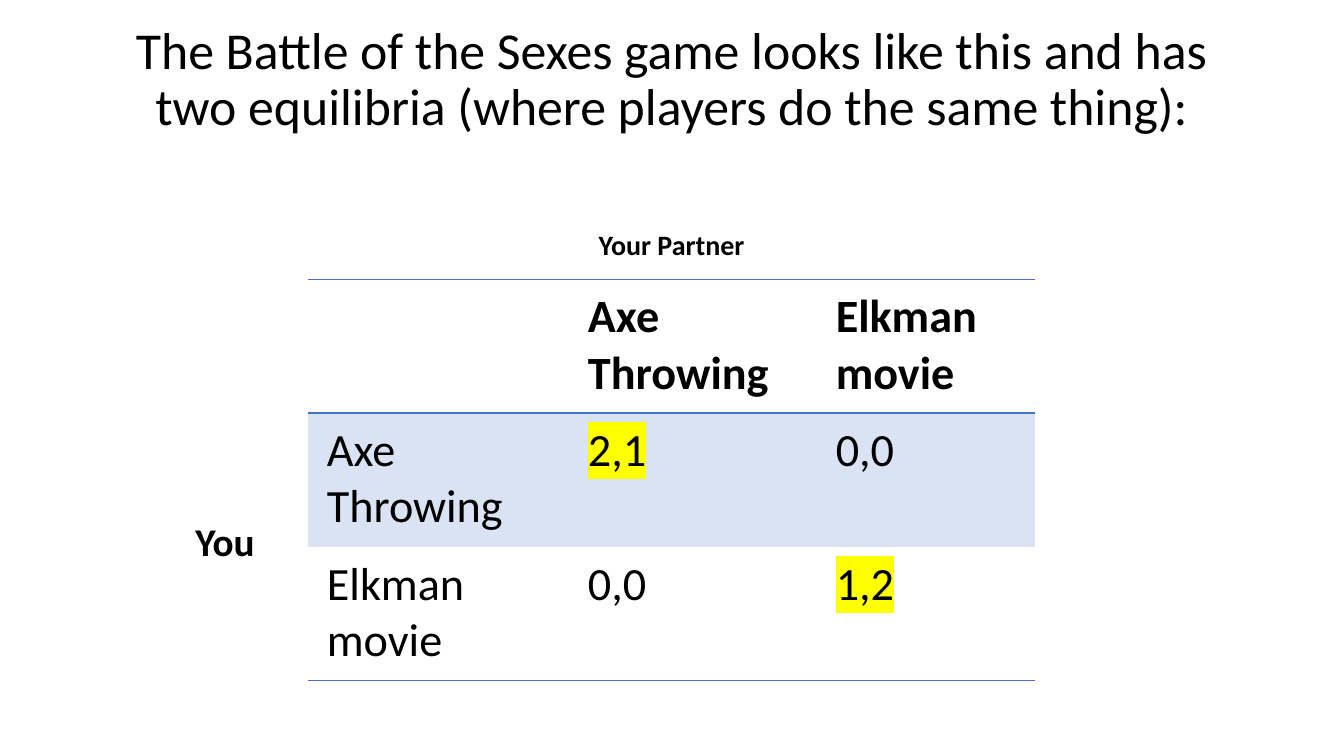
from lxml import etree
from pptx import Presentation
from pptx.dml.color import RGBColor
from pptx.enum.text import MSO_ANCHOR, PP_ALIGN
from pptx.oxml.ns import qn
from pptx.util import Pt

CENTER, LEFT = PP_ALIGN.CENTER, PP_ALIGN.LEFT
TOP, MIDDLE = MSO_ANCHOR.TOP, MSO_ANCHOR.MIDDLE

PAYOFFS = [
    ["", "Axe Throwing", "Elkman movie"],
    ["Axe Throwing", "2,1", "0,0"],
    ["Elkman movie", "0,0", "1,2"],
]
EQUILIBRIA = {(1, 1), (2, 2)}


def add_color(parent, color):
    etree.SubElement(parent, qn("a:srgbClr"), val=color)


class GameSlide:
    font = "Calibri"
    colors = {"text": "000000", "rule": "4472C4", "band": "DAE3F3", "mark": "FFFF00"}

    def __init__(self, deck):
        self.slide = deck.slides.add_slide(deck.slide_layouts[6])

    def set_text(self, frame, text, size, bold=False, align=LEFT):
        """Fill the first paragraph of a frame and return it."""
        para = frame.paragraphs[0]
        para.alignment = align
        para.font.name = self.font
        para.font.size = Pt(size)
        para.font.bold = bold
        para.font.color.rgb = RGBColor.from_string(self.colors["text"])
        if text:
            para.add_run().text = text
        return para

    def label(self, text, area, size, bold=True, align=CENTER, anchor=MIDDLE, wrap=True):
        box = self.slide.shapes.add_textbox(*map(Pt, area))
        frame = box.text_frame
        frame.word_wrap = wrap
        frame.vertical_anchor = anchor
        para = self.set_text(frame, text, size, bold, align)
        if wrap:
            para.line_spacing = 0.9

    def borders(self, cell, ruled_sides):
        """Rule the named sides of a cell and clear the others."""
        properties = cell._tc.get_or_add_tcPr()
        for side in "LRTB":
            line = etree.SubElement(properties, qn(f"a:ln{side}"), w=str(Pt(1)))
            if side in ruled_sides:
                add_color(etree.SubElement(line, qn("a:solidFill")), self.colors["rule"])
            else:
                etree.SubElement(line, qn("a:noFill"))

    def highlight(self, span):
        properties = span._r.get_or_add_rPr()
        add_color(etree.SubElement(properties, qn("a:highlight")), self.colors["mark"])

    def payoff_table(self, rows, marked, area, widths, size):
        frame = self.slide.shapes.add_table(len(rows), len(widths), *map(Pt, area))
        table = frame.table
        table.first_row = table.horz_banding = False
        for column, width in zip(table.columns, widths):
            column.width = Pt(width)
        for r, texts in enumerate(rows):
            for c, text in enumerate(texts):
                cell = table.cell(r, c)
                cell.margin_left = cell.margin_right = Pt(13.5)
                cell.margin_top = cell.margin_bottom = Pt(6.75)
                self.borders(cell, ("TB", "T", "B")[r])
                if r == 1:
                    cell.fill.solid()
                    cell.fill.fore_color.rgb = RGBColor.from_string(self.colors["band"])
                else:
                    cell.fill.background()
                para = self.set_text(cell.text_frame, text, size, bold=r == 0)
                if (r, c) in marked:
                    self.highlight(para.runs[0])


def main():
    deck = Presentation()
    deck.slide_width, deck.slide_height = Pt(960), Pt(540)
    page = GameSlide(deck)
    page.label(
        "The Battle of the Sexes game looks like this and has "
        "two equilibria (where players do the same thing):",
        (79, 13.5, 801.5, 88), 37, bold=False)
    page.label("Your Partner", (79, 146, 801.5, 60.5), 20)
    page.label("You", (132.5, 366, 57, 41), 28, align=LEFT, anchor=TOP, wrap=False)
    page.payoff_table(PAYOFFS, EQUILIBRIA, (220, 199.5, 519, 286.5), (186.5, 177, 155.5), 33)
    deck.save("out.pptx")


if __name__ == "__main__":
    main()
